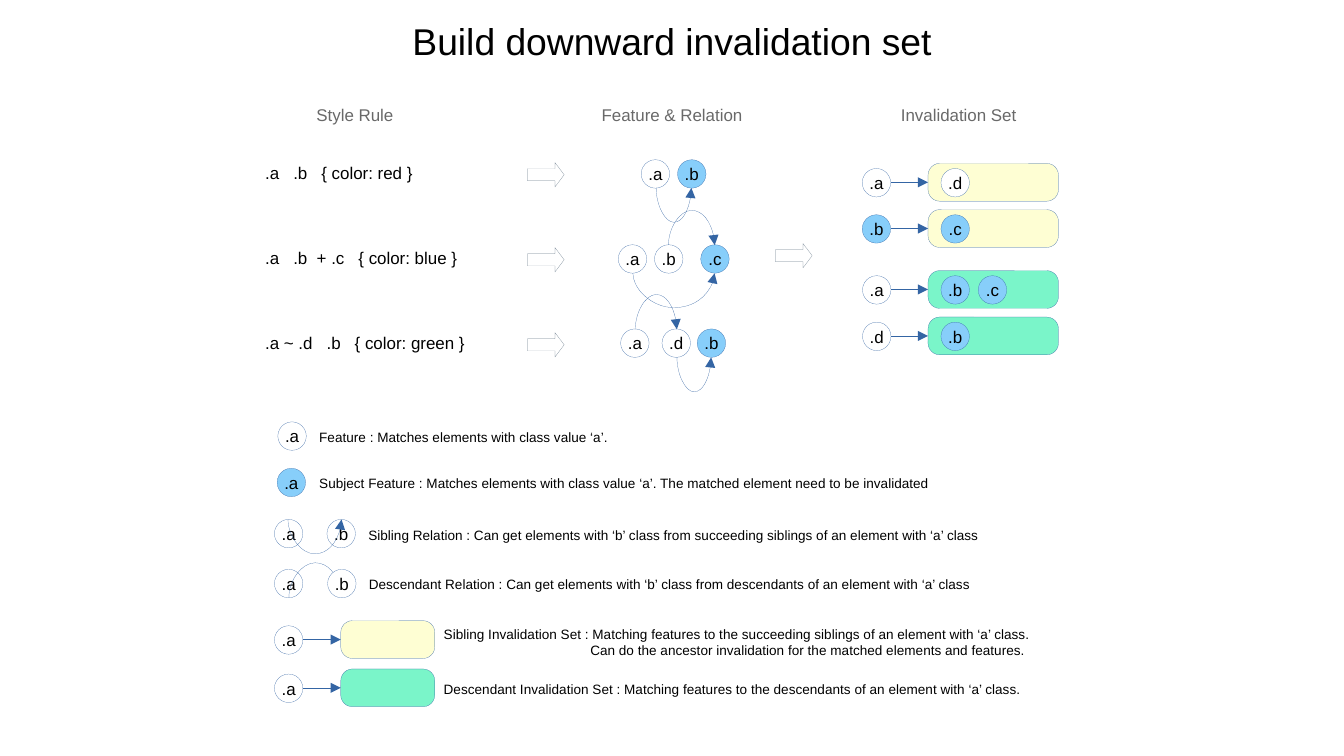
"""Build the slide that explains downward invalidation sets."""
from lxml import etree
from pptx import Presentation
from pptx.dml.color import RGBColor
from pptx.enum.shapes import MSO_CONNECTOR, MSO_SHAPE
from pptx.enum.text import MSO_ANCHOR, MSO_AUTO_SIZE, PP_ALIGN
from pptx.oxml.ns import qn
from pptx.util import Pt

OVAL, ROUNDED, RIGHT_ARROW = MSO_SHAPE.OVAL, MSO_SHAPE.ROUNDED_RECTANGLE, MSO_SHAPE.RIGHT_ARROW
STRAIGHT, CURVE = MSO_CONNECTOR.STRAIGHT, MSO_CONNECTOR.CURVE
LEFT, CENTER = PP_ALIGN.LEFT, PP_ALIGN.CENTER
TOP, MIDDLE = MSO_ANCHOR.TOP, MSO_ANCHOR.MIDDLE
NO_AUTOSIZE = MSO_AUTO_SIZE.NONE

BLACK = RGBColor(0x00, 0x00, 0x00)
GRAY = RGBColor(0x69, 0x69, 0x69)
SLATE = RGBColor(0x70, 0x80, 0x90)
WHITE = RGBColor(0xFF, 0xFF, 0xFF)
BLUE = RGBColor(0x34, 0x65, 0xA4)
SUBJECT = RGBColor(0x87, 0xCE, 0xFA)
SIBLING = RGBColor(0xFE, 0xFE, 0xD3)
DESCENDANT = RGBColor(0x7A, 0xF5, 0xC9)

HAIRLINE = Pt(0.1)
CIRCLE = 16.8
SET_HEIGHT = 22.3
RULE_STEP = 50.2
CURVE_DEPTH = 18
CURVE_THICKNESS = 0.1

deck = Presentation()
deck.slide_width, deck.slide_height = Pt(793.44), Pt(446.4)
slide = deck.slides.add_slide(deck.slide_layouts[5])
shapes = slide.shapes


def write(shape, text, size, color, align, anchor):
    frame = shape.text_frame
    frame.text = text
    frame.word_wrap = True
    frame.auto_size = NO_AUTOSIZE
    frame.vertical_anchor = anchor
    for para in frame.paragraphs:
        para.alignment = align
        for span in para.runs:
            span.font.name = "Arial"
            span.font.size = Pt(size)
            span.font.color.rgb = color


def add_figure(kind, left, top, width, height, fill, edge=BLUE, text=""):
    figure = shapes.add_shape(kind, Pt(left), Pt(top), Pt(width), Pt(height))
    figure.shadow.inherit = False
    figure.fill.solid()
    figure.fill.fore_color.rgb = fill
    figure.line.color.rgb = edge
    figure.line.width = HAIRLINE
    if text:
        frame = figure.text_frame
        frame.margin_left = frame.margin_right = frame.margin_top = frame.margin_bottom = 0
        write(figure, text, 10, BLACK, CENTER, MIDDLE)
    return figure


title = shapes.title
title.left, title.top, title.width, title.height = 0, Pt(7.2), deck.slide_width, Pt(36)
write(title, "Build downward invalidation set", 22, BLACK, CENTER, TOP)

headings = [("Style Rule", 209.5), ("Feature & Relation", 396.7), ("Invalidation Set", 565.9)]
for text, center in headings:
    box = shapes.add_textbox(Pt(center - 60), Pt(56.5), Pt(120), Pt(SET_HEIGHT))
    write(box, text, 10, GRAY, CENTER, MIDDLE)

rules = [
    ".a   .b   { color: red }",
    ".a   .b  + .c   { color: blue }",
    ".a ~ .d   .b   { color: green }",
]
step_arrows = [(457.9, 143.8)]
for row, text in enumerate(rules):
    box = shapes.add_textbox(Pt(149.5), Pt(91 + row * RULE_STEP), Pt(150), Pt(SET_HEIGHT))
    write(box, text, 10, BLACK, LEFT, MIDDLE)
    step_arrows.append((311.5, 96 + row * RULE_STEP))

for left, top in step_arrows:
    arrow = add_figure(RIGHT_ARROW, left, top, 21.6, 14.4, WHITE, SLATE)
    arrow.adjustments[0], arrow.adjustments[1] = 0.5, 0.376

features = [
    (".a", 378.5, 94.3, WHITE), (".b", 400, 94.3, SUBJECT),
    (".a", 365, 144.5, WHITE), (".b", 386.4, 144.5, WHITE), (".c", 413.7, 144.5, SUBJECT),
    (".a", 366.4, 194.2, WHITE), (".d", 390.8, 194.2, WHITE), (".b", 411.6, 194.2, SUBJECT),
    (".a", 164, 249.1, WHITE), (".a", 163.6, 276.5, SUBJECT),
    (".a", 162, 306.7, WHITE), (".b", 193, 306.7, WHITE),
    (".a", 162, 336.2, WHITE),
]
connectors = []

sets = [
    (".a", WHITE, 509, 547.9, 96.5, 77, SIBLING, [".d"]),
    (".b", SUBJECT, 509, 547.9, 123.8, 77, SIBLING, [".c"]),
    (".a", WHITE, 509.2, 547.9, 159.8, 77, DESCENDANT, [".b", ".c"]),
    (".d", WHITE, 509.2, 547.9, 187.2, 77, DESCENDANT, [".b"]),
    (".a", WHITE, 162, 201.2, 366.5, 55.5, SIBLING, []),
    (".a", WHITE, 162, 201.2, 395, 55.5, DESCENDANT, []),
]
for key, key_fill, key_left, left, top, width, fill, members in sets:
    box = add_figure(ROUNDED, left, top, width, SET_HEIGHT, fill)
    box.adjustments[0] = 0.31
    features.append((key, key_left, top + 3, key_fill))
    for column, member in enumerate(members):
        member_fill = WHITE if member == ".d" else SUBJECT
        features.append((member, 555.5 + column * 22, top + 3, member_fill))
    middle = Pt(top + SET_HEIGHT / 2)
    connectors.append(shapes.add_connector(STRAIGHT, Pt(key_left + CIRCLE), middle, Pt(left), middle))

for text, left, top, fill in features:
    add_figure(OVAL, left, top, CIRCLE, CIRCLE, fill, text=text)

relations = [
    (387.4, 408.2, 110.9, 1), (373.7, 421.9, 161.3, 1), (394.6, 421.9, 144.7, -1),
    (375.1, 399.6, 194.4, -1), (399.6, 419.8, 211, 1),
    (170, 201.6, 306.7, 1), (170.6, 201.6, 352.8, -1),
]
for start, end, level, direction in relations:
    center, half_span, half_thickness = (start + end) / 2, (end - start) / 2, CURVE_THICKNESS / 2
    curve = shapes.add_connector(
        CURVE,
        Pt(center + half_thickness), Pt(level - half_span),
        Pt(center - half_thickness), Pt(level + half_span),
    )
    properties = curve.element.spPr
    properties.find(qn("a:xfrm")).set("rot", "16200000")
    guides = properties.find(qn("a:prstGeom")).find(qn("a:avLst"))
    bend = round(direction * CURVE_DEPTH / CURVE_THICKNESS * 100000)
    etree.SubElement(guides, qn("a:gd"), name="adj1", fmla=f"val {bend}")
    connectors.append(curve)

for connector in connectors:
    connector.line.color.rgb = BLUE
    connector.line.width = HAIRLINE
    outline = connector.element.spPr.find(qn("a:ln"))
    etree.SubElement(outline, qn("a:tailEnd"), type="triangle")
    etree.SubElement(connector.element.spPr, qn("a:effectLst"))

add_figure(OVAL, 193.4, 336.2, CIRCLE, CIRCLE, WHITE, text=".b")

legend = [
    (181.4, 249.5, "Feature : Matches elements with class value ‘a’."),
    (181.4, 277.2, "Subject Feature : Matches elements with class value ‘a’. "
                   "The matched element need to be invalidated"),
    (210.4, 307.4, "Sibling Relation : Can get elements with ‘b’ class "
                   "from succeeding siblings of an element with ‘a’ class"),
    (210.7, 336.6, "Descendant Relation : Can get elements with ‘b’ class "
                   "from descendants of an element with ‘a’ class"),
    (254.9, 365.8, "Sibling Invalidation Set : Matching features to the succeeding siblings "
                   "of an element with ‘a’ class.\n"
                   "Can do the ancestor invalidation for the matched elements and features."),
    (254.9, 398.4, "Descendant Invalidation Set : Matching features to the descendants "
                   "of an element with ‘a’ class."),
]
for left, top, text in legend:
    box = shapes.add_textbox(Pt(left), Pt(top), Pt(390), Pt(16 + 9 * text.count("\n")))
    write(box, text, 8, BLACK, LEFT, TOP)
    for para in box.text_frame.paragraphs[1:]:
        para._p.get_or_add_pPr().set("marL", str(Pt(86.5)))

deck.save("out.pptx")
